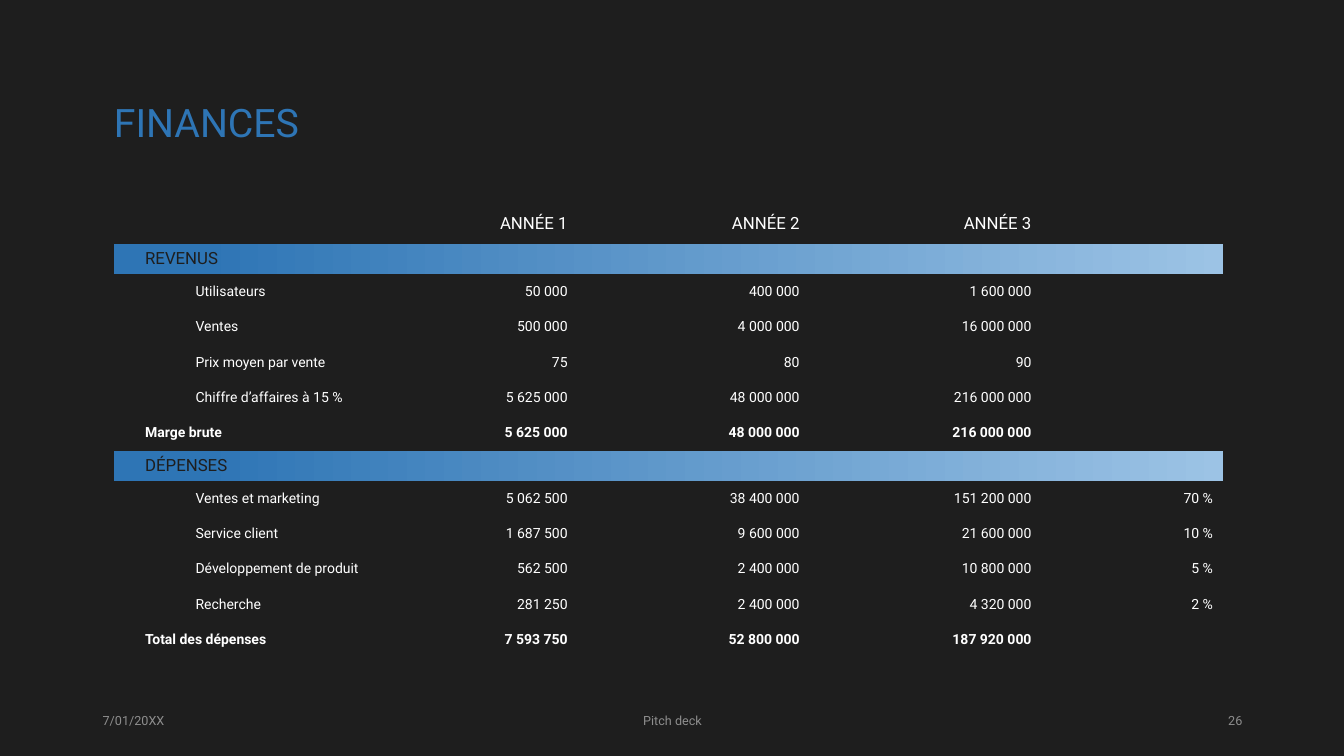
from dataclasses import dataclass

from pptx import Presentation
from pptx.dml.color import RGBColor
from pptx.enum import text as t
from pptx.util import Inches, Pt


@dataclass(frozen=True)
class Theme:
    font: str = "Roboto"
    background: str = "1E1E1E"
    accent: str = "2E75B5"
    accent_light: str = "9CC3E5"
    light: str = "FFFFFF"
    muted: str = "8E8E8E"
    title_size: int = 28
    heading_size: int = 12
    body_size: int = 10
    footer_size: int = 9


THEME = Theme()
NO_STYLE_NO_GRID = "{2D5ABB26-0587-4C30-8999-92F81FD0307C}"
LEFT, CENTER, RIGHT = t.PP_ALIGN.LEFT, t.PP_ALIGN.CENTER, t.PP_ALIGN.RIGHT

COLUMN_WIDTHS = [2.99, 1.61, 2.3, 2.3, 1.8]
ROW_HEIGHTS = {"header": 0.4, "band": 0.3, "item": 0.35, "total": 0.35}
ROWS = [
    ("header", "", "ANNÉE 1", "ANNÉE 2", "ANNÉE 3"),
    ("band", "REVENUS"),
    ("item", "Utilisateurs", "50 000", "400 000", "1 600 000"),
    ("item", "Ventes", "500 000", "4 000 000", "16 000 000"),
    ("item", "Prix moyen par vente", "75", "80", "90"),
    ("item", "Chiffre d’affaires à 15 %", "5 625 000", "48 000 000", "216 000 000"),
    ("total", "Marge brute", "5 625 000", "48 000 000", "216 000 000"),
    ("band", "DÉPENSES"),
    ("item", "Ventes et marketing", "5 062 500", "38 400 000", "151 200 000", "70 %"),
    ("item", "Service client", "1 687 500", "9 600 000", "21 600 000", "10 %"),
    ("item", "Développement de produit", "562 500", "2 400 000", "10 800 000", "5 %"),
    ("item", "Recherche", "281 250", "2 400 000", "4 320 000", "2 %"),
    ("total", "Total des dépenses", "7 593 750", "52 800 000", "187 920 000"),
]


def write_text(frame, words, size, color, bold=False, align=LEFT, indent=0, line_spacing=None):
    paragraph = frame.paragraphs[0]
    paragraph.alignment = align
    if line_spacing:
        paragraph.line_spacing = line_spacing
    if indent:
        paragraph.level = 1
        properties = paragraph._p.get_or_add_pPr()
        properties.set("marL", str(Inches(indent)))
        properties.set("indent", "0")
    if not words:
        paragraph._p.get_or_add_endParaRPr().set("sz", str(size * 100))
        return
    run = paragraph.add_run()
    run.text = words
    run.font.name = THEME.font
    run.font.size = Pt(size)
    run.font.bold = bold
    run.font.color.rgb = RGBColor.from_string(color)


def add_title(slide, words):
    title = slide.shapes.title
    title.left, title.top = Inches(1.13), Inches(0.73)
    title.width, title.height = Inches(11.08), Inches(1.01)
    frame = title.text_frame
    frame.word_wrap = True
    frame.auto_size = t.MSO_AUTO_SIZE.NONE
    frame.vertical_anchor = t.MSO_ANCHOR.MIDDLE
    frame.margin_left = 0
    write_text(frame, words, THEME.title_size, THEME.accent, line_spacing=0.9)


def add_footer(slide, words, left, width, align):
    box = slide.shapes.add_textbox(Inches(left), Inches(6.95), Inches(width), Inches(0.4))
    box.text_frame.word_wrap = True
    box.text_frame.vertical_anchor = t.MSO_ANCHOR.MIDDLE
    write_text(box.text_frame, words, THEME.footer_size, THEME.muted, align=align)


def fill_band(cell):
    cell.fill.gradient()
    cell.fill.gradient_angle = 0
    stops = [(0.08, THEME.accent), (1, THEME.accent_light)]
    for stop, (position, color) in zip(cell.fill.gradient_stops, stops):
        stop.position = position
        stop.color.rgb = RGBColor.from_string(color)


def format_cell(cell, kind, column, words):
    is_label = column == 0
    cell.vertical_anchor = t.MSO_ANCHOR.MIDDLE
    if is_label:
        cell.margin_left = Inches(0.31)
    if kind == "band":
        fill_band(cell)
    else:
        cell.fill.background()
    write_text(
        cell.text_frame,
        words,
        THEME.heading_size if kind in ("header", "band") else THEME.body_size,
        THEME.background if kind == "band" else THEME.light,
        bold=kind == "total",
        align=LEFT if is_label else RIGHT,
        indent=0.5 if is_label and kind == "item" else 0,
    )


def add_finance_table(slide):
    heights = [ROW_HEIGHTS[kind] for kind, *_ in ROWS]
    frame = slide.shapes.add_table(
        len(ROWS), len(COLUMN_WIDTHS), Inches(1.13), Inches(2.02),
        Inches(sum(COLUMN_WIDTHS)), Inches(sum(heights)),
    )
    table = frame.table
    table.horz_banding = False
    table._tbl.tblPr.find("{*}tableStyleId").text = NO_STYLE_NO_GRID
    for column, width in zip(table.columns, COLUMN_WIDTHS):
        column.width = Inches(width)
    for index, (kind, *values) in enumerate(ROWS):
        table.rows[index].height = Inches(heights[index])
        values += [""] * (len(COLUMN_WIDTHS) - len(values))
        for column, words in enumerate(values):
            format_cell(table.cell(index, column), kind, column, words)
        if kind == "band":
            table.cell(index, 0).merge(table.cell(index, len(COLUMN_WIDTHS) - 1))


def main():
    presentation = Presentation()
    presentation.slide_width = Inches(13.33)
    presentation.slide_height = Inches(7.5)
    slide = presentation.slides.add_slide(presentation.slide_layouts[5])
    slide.background.fill.solid()
    slide.background.fill.fore_color.rgb = RGBColor.from_string(THEME.background)
    add_finance_table(slide)
    add_footer(slide, "7/01/20XX", 0.92, 3, LEFT)
    add_footer(slide, "Pitch deck", 4.42, 4.5, CENTER)
    add_footer(slide, "26", 9.42, 3, RIGHT)
    add_title(slide, "FINANCES")
    presentation.save("out.pptx")


if __name__ == "__main__":
    main()
